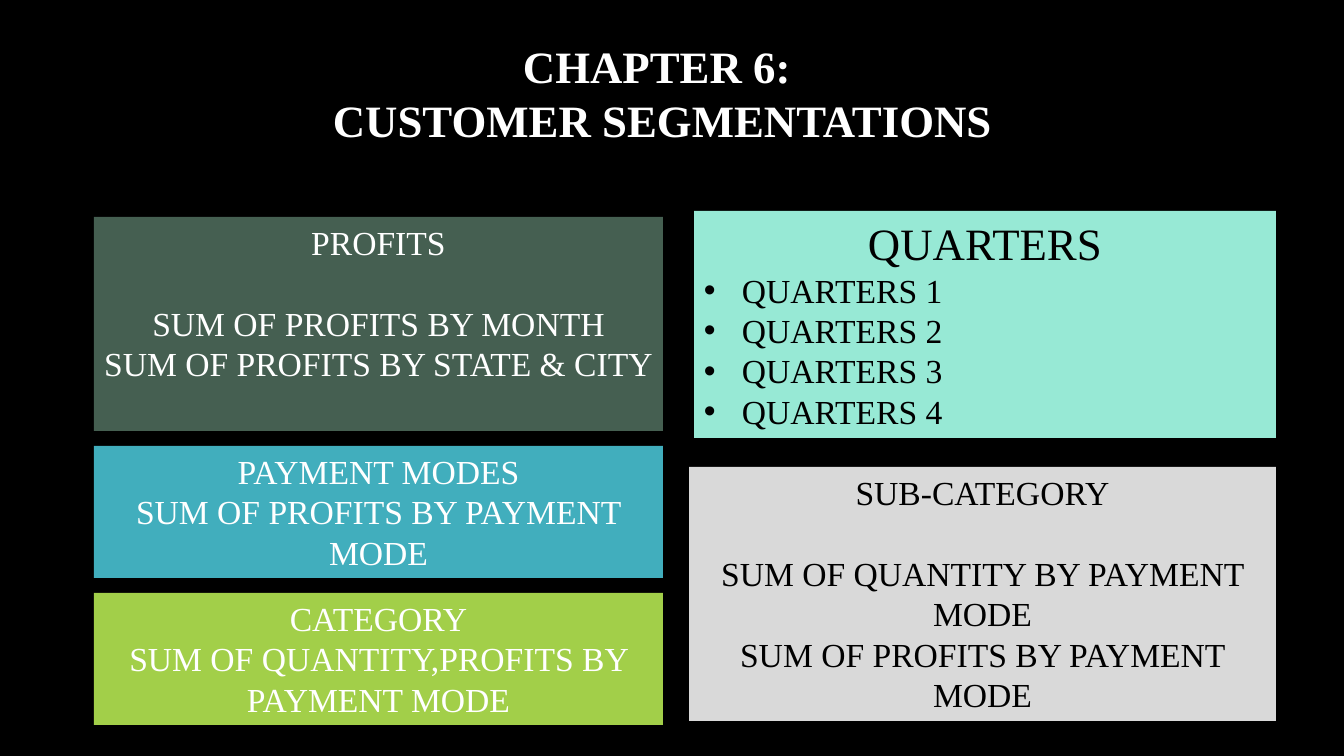
import lxml.etree
import pptx
import pptx.dml.color
import pptx.enum.shapes
import pptx.enum.text
import pptx.oxml.ns
import pptx.util

SCALE = 914400 / 100.8
FONT = "Times New Roman"
COLORS = {
    "black": "000000", "white": "FFFFFF", "green": "455F51", "teal": "41AEBD",
    "lime": "A2CF49", "mint": "97E9D5", "gray": "D9D9D9",
}
TITLE = ["CHAPTER 6: ", "CUSTOMER SEGMENTATIONS"]
TITLE_BOX = (320, 34, 685, 119)
BODY_SIZE, LARGE_SIZE = 24, 32
HEADING_GAP = 29
BULLET_INDENT = 38

LEFT_CARDS = [
    {"heading": "PROFITS", "lines": ["SUM OF PROFITS BY MONTH", "SUM OF PROFITS BY STATE & CITY"],
     "left": 94, "width": 569, "height": 214, "fill": "green", "text": "white", "gap": HEADING_GAP},
    {"heading": "PAYMENT MODES", "lines": ["SUM OF PROFITS BY PAYMENT MODE"],
     "left": 94, "width": 569, "height": 132, "fill": "teal", "text": "white"},
    {"heading": "CATEGORY", "lines": ["SUM OF QUANTITY,PROFITS BY PAYMENT MODE"],
     "left": 94, "width": 569, "height": 132, "fill": "lime", "text": "white"},
]
RIGHT_CARDS = [
    {"heading": "QUARTERS", "lines": [f"QUARTERS {number}" for number in range(1, 5)],
     "left": 694, "width": 582, "height": 227, "fill": "mint", "text": "black",
     "heading_size": LARGE_SIZE, "bullets": True},
    {"heading": "SUB-CATEGORY",
     "lines": ["SUM OF QUANTITY BY PAYMENT MODE", "SUM OF PROFITS BY PAYMENT MODE"],
     "left": 689, "width": 587, "height": 254, "fill": "gray", "text": "black", "gap": HEADING_GAP},
]
COLUMNS = [(217, 15, LEFT_CARDS), (211, 29, RIGHT_CARDS)]


def px(length):
    return pptx.util.Emu(round(length * SCALE))


def color(name):
    return pptx.dml.color.RGBColor.from_string(COLORS[name])


def add_bullet(paragraph):
    properties = paragraph._p.get_or_add_pPr()
    properties.set("marL", str(px(BULLET_INDENT)))
    properties.set("indent", str(-px(BULLET_INDENT)))
    font = lxml.etree.SubElement(properties, pptx.oxml.ns.qn("a:buFont"))
    font.set("typeface", "Arial")
    bullet = lxml.etree.SubElement(properties, pptx.oxml.ns.qn("a:buChar"))
    bullet.set("char", "•")


def write_lines(text_frame, lines, color_name, size, bold=False):
    text_frame.text = "\n".join(lines)
    text_frame.vertical_anchor = pptx.enum.text.MSO_ANCHOR.TOP
    for paragraph in text_frame.paragraphs:
        paragraph.alignment = pptx.enum.text.PP_ALIGN.CENTER
        for run in paragraph.runs:
            run.font.name = FONT
            run.font.size = pptx.util.Pt(size)
            run.font.bold = bold
            run.font.color.rgb = color(color_name)


def add_title(slide):
    box = slide.shapes.add_textbox(*map(px, TITLE_BOX))
    box.text_frame.word_wrap = False
    write_lines(box.text_frame, TITLE, "white", LARGE_SIZE, bold=True)


def add_card(slide, card, top):
    shape = slide.shapes.add_shape(
        pptx.enum.shapes.MSO_SHAPE.RECTANGLE,
        px(card["left"]), px(top), px(card["width"]), px(card["height"]))
    shape.shadow.inherit = False
    shape.fill.solid()
    shape.fill.fore_color.rgb = color(card["fill"])
    shape.line.fill.background()
    text_frame = shape.text_frame
    text_frame.word_wrap = True
    write_lines(text_frame, [card["heading"], *card["lines"]], card["text"], BODY_SIZE)
    heading, *body = text_frame.paragraphs
    heading.space_after = pptx.util.Pt(card.get("gap", 0))
    heading.runs[0].font.size = pptx.util.Pt(card.get("heading_size", BODY_SIZE))
    if card.get("bullets"):
        for paragraph in body:
            paragraph.alignment = pptx.enum.text.PP_ALIGN.LEFT
            add_bullet(paragraph)


def main():
    presentation = pptx.Presentation()
    presentation.slide_width = px(1344)
    presentation.slide_height = px(756)
    slide = presentation.slides.add_slide(presentation.slide_layouts[6])
    slide.background.fill.solid()
    slide.background.fill.fore_color.rgb = color("black")
    add_title(slide)
    for top, gap, cards in COLUMNS:
        for card in cards:
            add_card(slide, card, top)
            top += card["height"] + gap
    presentation.save("out.pptx")


if __name__ == "__main__":
    main()
